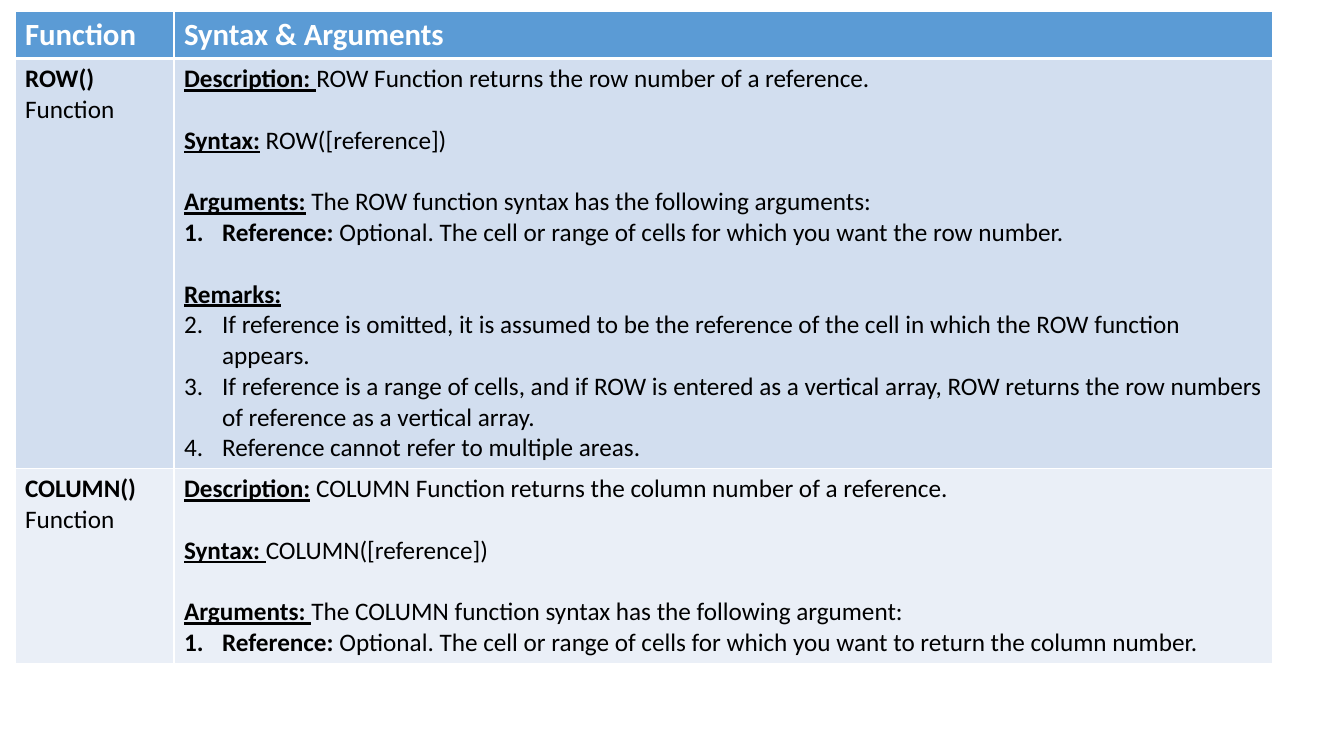
from lxml.etree import SubElement
from pptx import Presentation
from pptx.dml.color import RGBColor
from pptx.oxml.ns import qn
from pptx.util import Emu, Pt

PX = 914400 / 100.8
WHITE = RGBColor(0xFF, 0xFF, 0xFF)
BLACK = RGBColor(0x00, 0x00, 0x00)
BLUE = RGBColor(0x5B, 0x9B, 0xD5)
LIGHT_BLUE = RGBColor(0xD2, 0xDE, 0xEF)
PALE_BLUE = RGBColor(0xEA, 0xEF, 0xF7)

COLUMN_WIDTHS = [159, 1099]
ROW_HEIGHTS = [47, 410, 195]
ROW_FILLS = [BLUE, LIGHT_BLUE, PALE_BLUE]
RULE_WIDTHS = [1, 3, 1, 1]  # horizontal rules from top to bottom, in points
INDENT = 38
SECTION_GAP = Pt(22)

HEADER_FORMAT = {"name": "Calibri", "size": Pt(22), "bold": True}
BODY_FORMAT = {"name": "Calibri", "size": Pt(18), "bold": False}
KINDS = {
    "plain": {"bold": True},
    "section": {"bold": True, "underline": True},
    "item": {"bold": True},
}

# Each paragraph: kind, emphasised label, normal text, first number of its list
CELLS = [
    [
        [("plain", "Function", "", None)],
        [("plain", "Syntax & Arguments", "", None)],
    ],
    [
        [("plain", "ROW()", " Function", None)],
        [
            ("section", "Description: ", "ROW Function returns the row number of a reference.", None),
            ("section", "Syntax:", " ROW([reference])", None),
            ("section", "Arguments:", " The ROW function syntax has the following arguments:", None),
            ("item", "Reference: ", "Optional. The cell or range of cells for which you want the row number.", 1),
            ("section", "Remarks:", "", None),
            ("item", "", "If reference is omitted, it is assumed to be the reference of the cell "
                         "in which the ROW function appears.", 2),
            ("item", "", "If reference is a range of cells, and if ROW is entered as a vertical array, "
                         "ROW returns the row numbers of reference as a vertical array.", 2),
            ("item", "", "Reference cannot refer to multiple areas.", 2),
        ],
    ],
    [
        [("plain", "COLUMN()", " Function", None)],
        [
            ("section", "Description:", " COLUMN Function returns the column number of a reference.", None),
            ("section", "Syntax: ", "COLUMN([reference])", None),
            ("section", "Arguments: ", "The COLUMN function syntax has the following argument:", None),
            ("item", "Reference: ", "Optional. The cell or range of cells for which you want "
                                    "to return the column number.", 1),
        ],
    ],
]


def px(length):
    return Emu(round(length * PX))


def add_borders(cell, top, bottom):
    properties = cell._tc.get_or_add_tcPr()
    for side, width in {"L": 1, "R": 1, "T": top, "B": bottom}.items():
        line = SubElement(properties, qn(f"a:ln{side}"), w=str(Pt(width)))
        fill = SubElement(line, qn("a:solidFill"))
        SubElement(fill, qn("a:srgbClr"), val=str(WHITE))


presentation = Presentation()
presentation.slide_width = px(1344)
presentation.slide_height = px(756)
slide = presentation.slides.add_slide(presentation.slide_layouts[6])

table = slide.shapes.add_table(
    len(ROW_HEIGHTS), len(COLUMN_WIDTHS),
    px(15), px(11), px(sum(COLUMN_WIDTHS)), px(sum(ROW_HEIGHTS)),
).table
for column, width in zip(table.columns, COLUMN_WIDTHS):
    column.width = px(width)
for row, height in zip(table.rows, ROW_HEIGHTS):
    row.height = px(height)

for row_index, row_cells in enumerate(CELLS):
    base_format = BODY_FORMAT if row_index else HEADER_FORMAT
    text_color = BLACK if row_index else WHITE
    for column_index, paragraphs in enumerate(row_cells):
        cell = table.cell(row_index, column_index)
        add_borders(cell, RULE_WIDTHS[row_index], RULE_WIDTHS[row_index + 1])
        cell.fill.solid()
        cell.fill.fore_color.rgb = ROW_FILLS[row_index]
        frame = cell.text_frame
        for index, (kind, label, text, first_number) in enumerate(paragraphs):
            paragraph = frame.add_paragraph() if index else frame.paragraphs[0]
            if kind == "item":
                properties = paragraph._p.get_or_add_pPr()
                properties.set("marL", str(px(INDENT)))
                properties.set("indent", str(-px(INDENT)))
                SubElement(properties, qn("a:buFont"), typeface="+mj-lt")
                SubElement(properties, qn("a:buAutoNum"), type="arabicPeriod", startAt=str(first_number))
            if kind == "section" and index:
                paragraph.space_before = SECTION_GAP
            for words, emphasis in ((label, KINDS[kind]), (text, {})):
                if not words:
                    continue
                run = paragraph.add_run()
                run.text = words
                for name, value in {**base_format, **emphasis}.items():
                    setattr(run.font, name, value)
                run.font.color.rgb = text_color

presentation.save("out.pptx")
